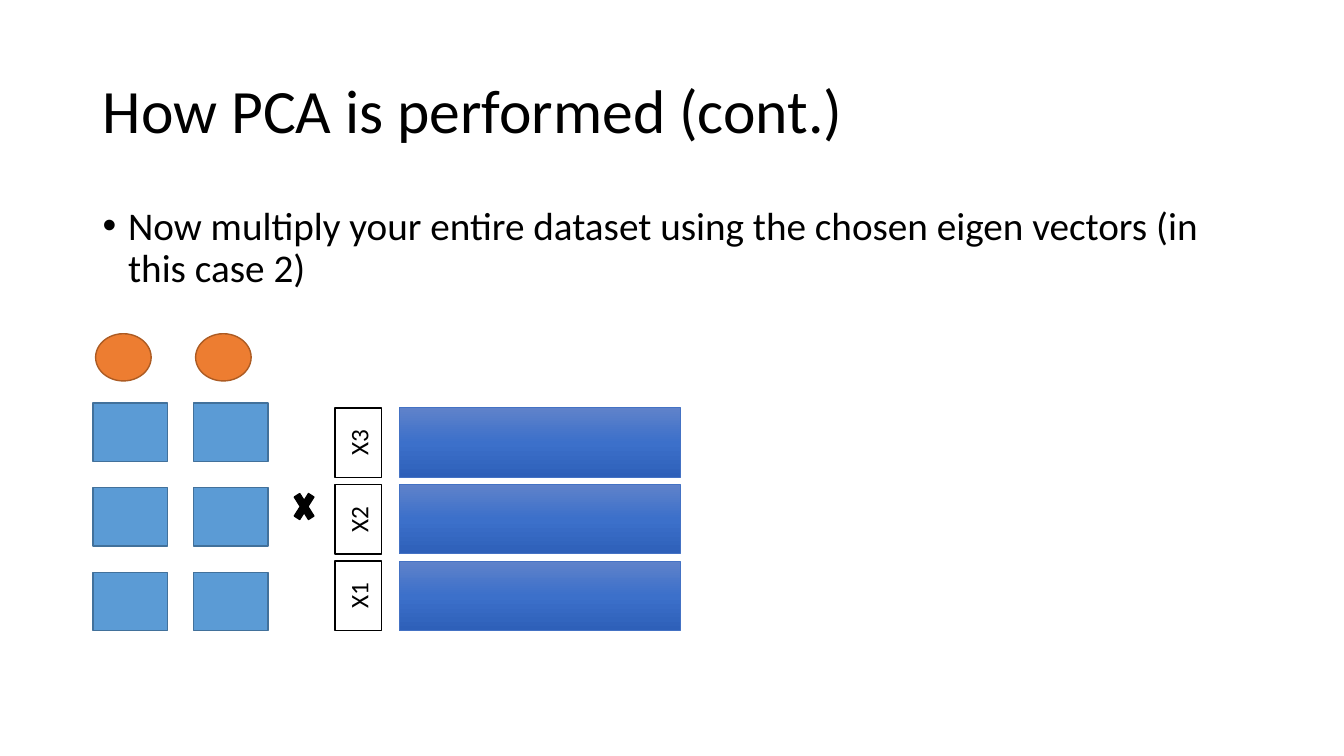
"""Build a slide showing a dataset multiplied by the chosen eigenvectors."""
from copy import deepcopy

from lxml import etree
from pptx import Presentation
from pptx.dml.color import RGBColor
from pptx.enum.shapes import MSO_SHAPE
from pptx.enum.text import MSO_ANCHOR, PP_ALIGN
from pptx.oxml.ns import qn
from pptx.util import Cm, Pt

RECTANGLE, OVAL, TIMES = MSO_SHAPE.RECTANGLE, MSO_SHAPE.OVAL, MSO_SHAPE.MATH_MULTIPLY
MIDDLE, TOP = MSO_ANCHOR.MIDDLE, MSO_ANCHOR.TOP
LEFT, CENTER = PP_ALIGN.LEFT, PP_ALIGN.CENTER

TITLE = "How PCA is performed (cont.)"
STEP = "Now multiply your entire dataset using the chosen eigen vectors (in this case 2)"
VARIABLES = ["X3", "X2", "X1"]
EIGENVECTORS = 2
BAR_GRADIENT = [(0, "5F82CA"), (0.5, "3C70CA"), (1, "2E60B9")]
FONT, BLACK, WHITE = "Calibri", "000000", "FFFFFF"

VECTOR_LEFT, VECTOR_PITCH = 2.34, 2.54
ENTRY_TOP, ENTRY_PITCH, ENTRY_SIZE = 10.16, 2.13, (1.88, 1.47)
HEAD_LEFT, HEAD_TOP, HEAD_PITCH, HEAD_SIZE = 2.41, 8.41, 2.52, (1.4, 1.19)
DATA_TOP, DATA_PITCH, DATA_HEIGHT = 10.28, 1.93, 1.75
LABEL_CENTER, LABEL_WIDTH = 9.03, 1.17
BAR_LEFT, BAR_WIDTH = 10.06, 7.09


def rgb(value):
    return RGBColor.from_string(value)


def write(frame, words, size, align, anchor):
    frame.word_wrap = True
    frame.vertical_anchor = anchor
    paragraph = frame.paragraphs[0]
    paragraph.alignment = align
    run = paragraph.add_run()
    run.text = words
    run.font.name, run.font.size = FONT, Pt(size)
    run.font.color.rgb = rgb(BLACK)
    return paragraph


def add_text(slide, words, box, size, anchor):
    frame = slide.shapes.add_textbox(*map(Cm, box)).text_frame
    paragraph = write(frame, words, size, LEFT, anchor)
    paragraph.line_spacing = 0.9
    return paragraph


def add_figure(slide, kind, box, fill, line, width=1):
    figure = slide.shapes.add_shape(kind, *map(Cm, box))
    figure.shadow.inherit = False
    figure.fill.solid()
    figure.fill.fore_color.rgb = rgb(fill)
    figure.line.color.rgb = rgb(line)
    figure.line.width = Pt(width)
    return figure


def add_bullet(paragraph):
    properties = paragraph._p.get_or_add_pPr()
    properties.set("marL", str(Cm(0.64)))
    properties.set("indent", str(Cm(-0.64)))
    etree.SubElement(properties, qn("a:buFont")).set("typeface", "Arial")
    etree.SubElement(properties, qn("a:buChar")).set("char", "•")


def shade(fill, gradient):
    fill.gradient()
    fill.gradient_angle = 270
    first = fill.gradient_stops[0]._gs
    first.addnext(deepcopy(first))
    for stop, (position, color) in zip(fill.gradient_stops, gradient):
        stop.position = position
        stop.color.rgb = rgb(color)


def add_eigenvectors(slide):
    for column in range(EIGENVECTORS):
        for row in range(len(VARIABLES)):
            corner = (VECTOR_LEFT + column * VECTOR_PITCH, ENTRY_TOP + row * ENTRY_PITCH)
            add_figure(slide, RECTANGLE, corner + ENTRY_SIZE, "5B9BD5", "42719B")
        corner = (HEAD_LEFT + column * HEAD_PITCH, HEAD_TOP)
        add_figure(slide, OVAL, corner + HEAD_SIZE, "ED7D31", "AC5B23")


def add_dataset(slide):
    for row, variable in enumerate(VARIABLES):
        top = DATA_TOP + row * DATA_PITCH
        bar = add_figure(slide, RECTANGLE, (BAR_LEFT, top, BAR_WIDTH, DATA_HEIGHT),
                         WHITE, "4472C4", 0.75)
        shade(bar.fill, BAR_GRADIENT)
        label_box = (LABEL_CENTER - DATA_HEIGHT / 2, top + (DATA_HEIGHT - LABEL_WIDTH) / 2,
                     DATA_HEIGHT, LABEL_WIDTH)
        label = add_figure(slide, RECTANGLE, label_box, WHITE, BLACK)
        label.rotation = 270
        write(label.text_frame, variable, 18, CENTER, MIDDLE)


def main():
    deck = Presentation()
    deck.slide_width, deck.slide_height = Cm(33.87), Cm(19.05)
    slide = deck.slides.add_slide(deck.slide_layouts[6])
    add_text(slide, TITLE, (2.34, 1.02, 29.21, 3.68), 44, MIDDLE)
    add_bullet(add_text(slide, STEP, (2.34, 5.08, 29.21, 12.09), 28, TOP))
    add_dataset(slide)
    add_eigenvectors(slide)
    times = add_figure(slide, TIMES, (7.32, 12.22, 0.69, 1.09), BLACK, BLACK)
    times.adjustments[0] = 0.235
    deck.save("out.pptx")


if __name__ == "__main__":
    main()
